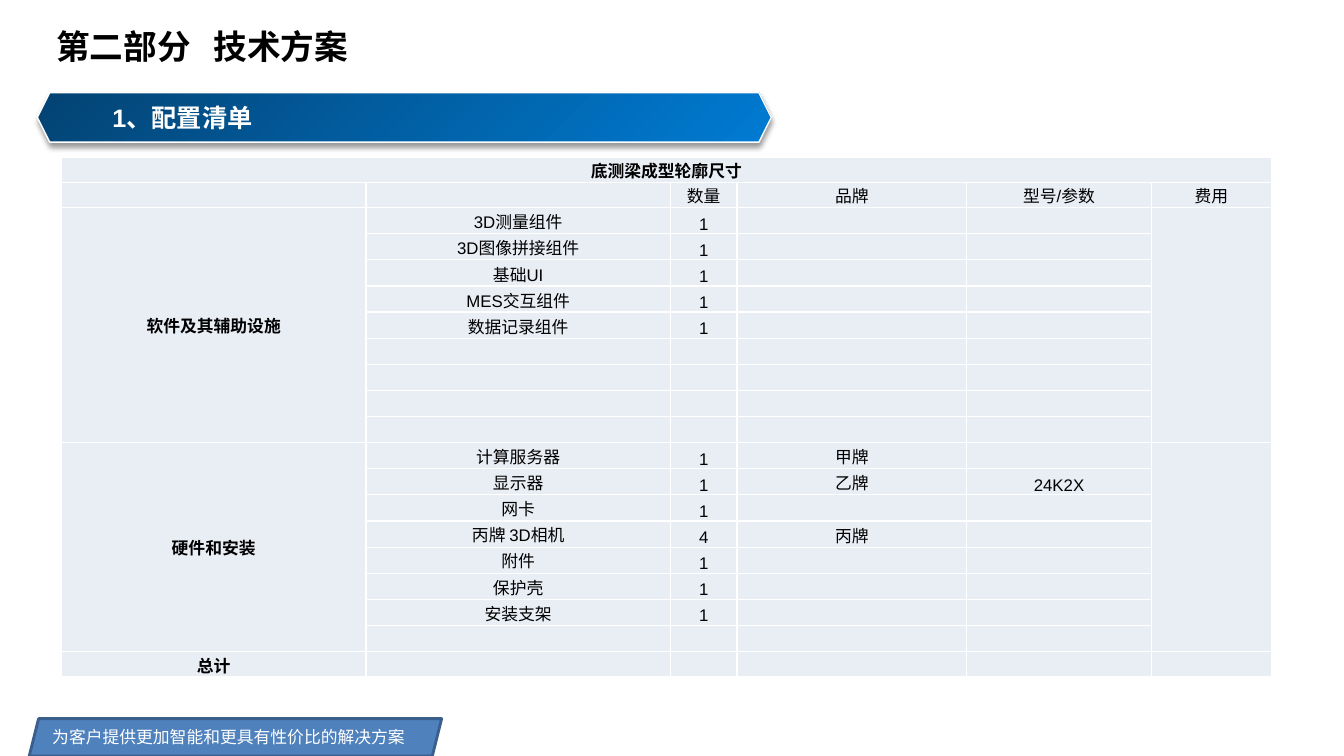
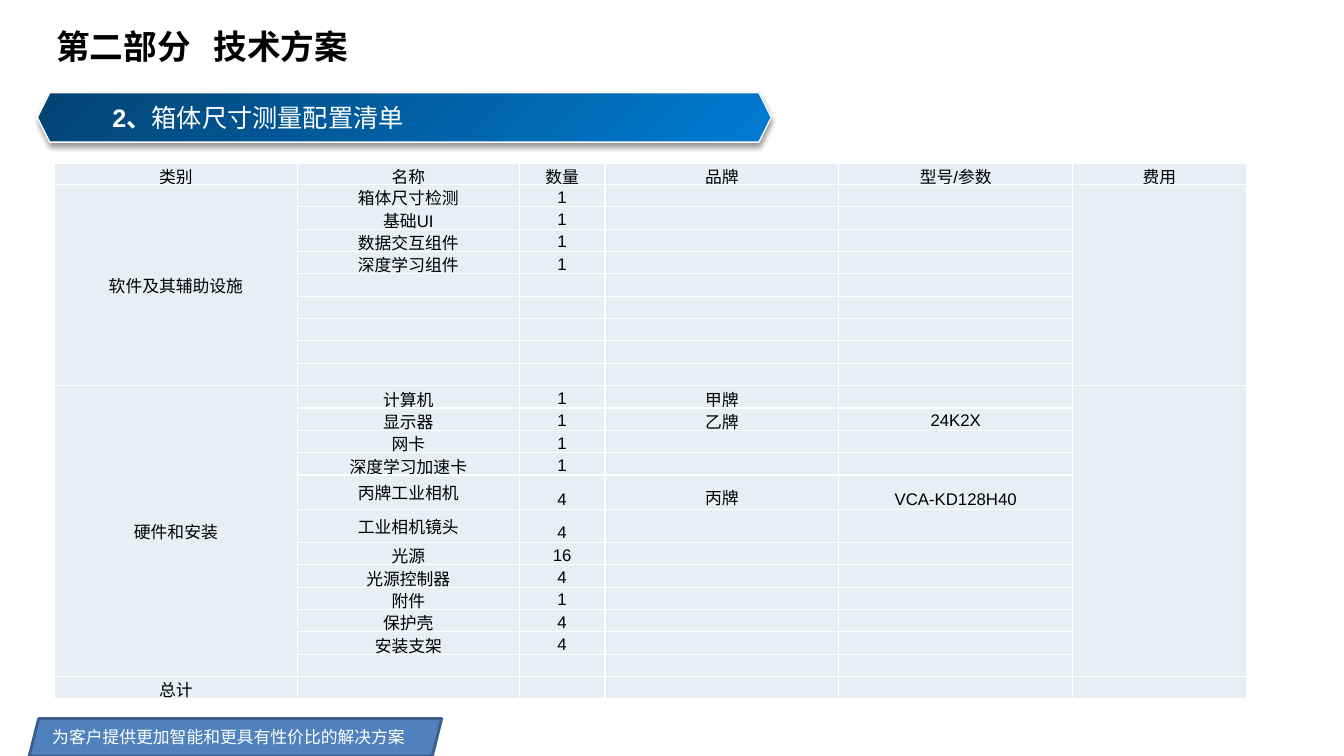
from lxml import etree
from pptx import Presentation
from pptx.dml.color import RGBColor
from pptx.enum.shapes import MSO_SHAPE
from pptx.enum.text import MSO_ANCHOR, MSO_AUTO_SIZE, PP_ALIGN
from pptx.oxml import parse_xml
from pptx.oxml.ns import nsdecls, qn
from pptx.util import Inches, Pt

HEX, SLANT = MSO_SHAPE.HEXAGON, MSO_SHAPE.PARALLELOGRAM
LEFT, CENTER = PP_ALIGN.LEFT, PP_ALIGN.CENTER
TOP, MIDDLE, BOTTOM = MSO_ANCHOR.TOP, MSO_ANCHOR.MIDDLE, MSO_ANCHOR.BOTTOM

FONT = "Arial"
BLACK = RGBColor(0x00, 0x00, 0x00)
WHITE = RGBColor(0xFF, 0xFF, 0xFF)
BLUE = RGBColor(0x4F, 0x81, 0xBD)
EDGE = RGBColor(0x3A, 0x5F, 0x8C)
PALE = RGBColor(0xE9, 0xED, 0xF4)
BRIGHT = RGBColor(0x00, 0x7B, 0xD3)
NAVY = RGBColor(0x03, 0x43, 0x73)

TITLE = "第二部分\t技术方案"
MOTTO = "为客户提供更加智能和更具有性价比的解决方案"
SOFT, HARD, TOTAL = "软件及其辅助设施", "硬件和安装", "总计"
HEAD = ["数量", "品牌", "型号/参数", "费用"]

# Each group: category, number of rows, then name, quantity, brand, model
LISTS = [
    dict(
        band=[("1、配置清单", True)],
        box=(0.61, 1.56, 12.01, 5.16),
        cols=[3.02, 3.02, 0.66, 2.28, 1.83, 1.19],
        tall={0: 0.25, 1: 0.25, 19: 0.25},
        top="底测梁成型轮廓尺寸",
        head=["", ""] + HEAD,
        bold=True,
        groups=[
            (SOFT, 9, BOTTOM, [
                ("3D测量组件", "1"), ("3D图像拼接组件", "1"), ("基础UI", "1"),
                ("MES交互组件", "1"), ("数据记录组件", "1")]),
            (HARD, 8, MIDDLE, [
                ("计算服务器", "1", "甲牌"), ("显示器", "1", "乙牌", "24K2X"),
                ("网卡", "1"), ("丙牌 3D相机", "4", "丙牌"), ("附件", "1"),
                ("保护壳", "1"), ("安装支架", "1")]),
        ],
    ),
    dict(
        band=[("2、", True), ("箱体尺寸测量配置清单", False)],
        box=(0.54, 1.62, 11.82, 5.32),
        cols=[2.41, 2.2, 0.85, 2.32, 2.32, 1.72],
        tall={0: 0.21, 14: 0.34, 15: 0.33},
        top="",
        head=["类别", "名称"] + HEAD,
        bold=False,
        groups=[
            (SOFT, 9, BOTTOM, [
                ("箱体尺寸检测", "1"), ("基础UI", "1"), ("数据交互组件", "1"),
                ("深度学习组件", "1")]),
            (HARD, 12, MIDDLE, [
                ("计算机", "1", "甲牌"), ("显示器", "1", "乙牌", "24K2X"),
                ("网卡", "1"), ("深度学习加速卡", "1"),
                ("丙牌工业相机", "4", "丙牌", "VCA-KD128H40"),
                ("工业相机镜头", "4"), ("光源", "16"), ("光源控制器", "4"),
                ("附件", "1"), ("保护壳", "4"), ("安装支架", "4")]),
        ],
    ),
]


def inch(box):
    return [Inches(v) for v in box]


def write(frame, runs, size=12, color=BLACK, align=LEFT, anchor=TOP,
          wrap=True, tab=None):
    """Put (text, bold) runs into the first paragraph of a frame."""
    frame.word_wrap = wrap
    frame.vertical_anchor = anchor
    para = frame.paragraphs[0]
    para.alignment = align
    if tab:
        tabs = etree.SubElement(para._p.get_or_add_pPr(), qn("a:tabLst"))
        etree.SubElement(tabs, qn("a:tab"), pos=str(Inches(tab)), algn="l")
    for words, bold in runs:
        run = para.add_run()
        run.text = words
        font = run.font
        font.name, font.size, font.bold = FONT, Pt(size), bold
        font.color.rgb = color


def label(slide, box, runs, **style):
    frame = slide.shapes.add_textbox(*inch(box)).text_frame
    write(frame, runs, **style)
    frame.auto_size = MSO_AUTO_SIZE.SHAPE_TO_FIT_TEXT


def shape(slide, kind, box, line, width):
    item = slide.shapes.add_shape(kind, *inch(box))
    item.shadow.inherit = False
    item.line.color.rgb = line
    item.line.width = Pt(width)
    return item


def footer(slide, box):
    left, top, width, height = box
    plate = shape(slide, SLANT, box, EDGE, 2)
    plate.fill.solid()
    plate.fill.fore_color.rgb = BLUE
    label(slide, (left + 0.13, top + 0.03, width - 0.35, 0.3),
          [(MOTTO, False)], color=WHITE, wrap=False)


def banner(slide, box, runs):
    plate = shape(slide, HEX, box, WHITE, 1)
    props = plate._element.spPr
    # Radial gradient from the lower right corner
    props.find(qn("a:prstGeom")).addnext(parse_xml(
        f'<a:gradFill {nsdecls("a")} rotWithShape="1"><a:gsLst>'
        f'<a:gs pos="0"><a:srgbClr val="{BRIGHT}"/></a:gs>'
        f'<a:gs pos="100000"><a:srgbClr val="{NAVY}"/></a:gs></a:gsLst>'
        '<a:path path="circle"><a:fillToRect l="100000" t="100000"/></a:path>'
        '</a:gradFill>'))
    # Soft shadow below
    props.find(qn("a:effectLst")).append(parse_xml(
        f'<a:outerShdw {nsdecls("a")} blurRad="{Pt(4)}" dist="{Pt(3)}" '
        f'dir="5400000" rotWithShape="0"><a:srgbClr val="{BLACK}">'
        '<a:alpha val="40000"/></a:srgbClr></a:outerShdw>'))
    write(plate.text_frame, runs, size=18, color=WHITE, anchor=MIDDLE)


def border(cell):
    props = cell._tc.get_or_add_tcPr()
    for spot, side in enumerate(("lnL", "lnR", "lnT", "lnB")):
        props.insert(spot, parse_xml(
            f'<a:{side} {nsdecls("a")} w="{Pt(1)}"><a:solidFill>'
            f'<a:srgbClr val="{WHITE}"/></a:solidFill></a:{side}>'))


def put(cell, words, bold=False, anchor=MIDDLE):
    if words:
        write(cell.text_frame, [(words, bold)], align=CENTER)
        cell.vertical_anchor = anchor


def blank(grid, count):
    """Style every cell; a small end mark keeps empty rows low."""
    for row in range(count):
        for cell in (grid.cell(row, col) for col in range(len(grid.columns))):
            cell.margin_left = cell.margin_right = Inches(0.01)
            cell.margin_top, cell.margin_bottom = Inches(0.01), 0
            cell.fill.solid()
            cell.fill.fore_color.rgb = PALE
            border(cell)
            etree.SubElement(cell.text_frame.paragraphs[0]._p,
                             qn("a:endParaRPr"), sz="1000")


def table(slide, box, cols, tall, top, head, bold, groups):
    count = bool(top) + 1 + sum(group[1] for group in groups) + 1
    grid = slide.shapes.add_table(count, len(cols), *inch(box)).table
    grid.first_row = grid.horz_banding = False
    for col, width in zip(grid.columns, cols):
        col.width = Inches(width)
    plain = (box[3] - sum(tall.values())) / (count - len(tall))
    for row in range(count):
        grid.rows[row].height = Inches(tall.get(row, plain))
    blank(grid, count)

    # Heading rows
    row, last = 0, len(cols) - 1
    if top:
        grid.cell(0, 0).merge(grid.cell(0, last))
        put(grid.cell(0, 0), top, bold=True)
        row = 1
    for col, words in enumerate(head):
        put(grid.cell(row, col), words)
    row += 1

    # Groups with merged category and cost cells
    for name, size, anchor, items in groups:
        for col in (0, last):
            grid.cell(row, col).merge(grid.cell(row + size - 1, col))
        put(grid.cell(row, 0), name, bold=bold)
        for step, item in enumerate(items):
            for col, words in enumerate(item, 1):
                put(grid.cell(row + step, col), words,
                    anchor=anchor if col == 1 else BOTTOM)
        row += size
    put(grid.cell(row, 0), TOTAL, bold=bold)


def page(deck, band, **parts):
    slide = deck.slides.add_slide(deck.slide_layouts[6])
    footer(slide, (0.29, 7.13, 4.09, 0.37))
    banner(slide, (0.37, 0.92, 7.28, 0.49), band)
    label(slide, (0.46, 0.21, 7.08, 0.5), [(TITLE, True)], size=24, tab=1.56)
    table(slide, **parts)


def main():
    deck = Presentation()
    deck.slide_width, deck.slide_height = Inches(13.33), Inches(7.5)
    for parts in LISTS:
        page(deck, **parts)
    deck.save("out.pptx")


if __name__ == "__main__":
    main()
